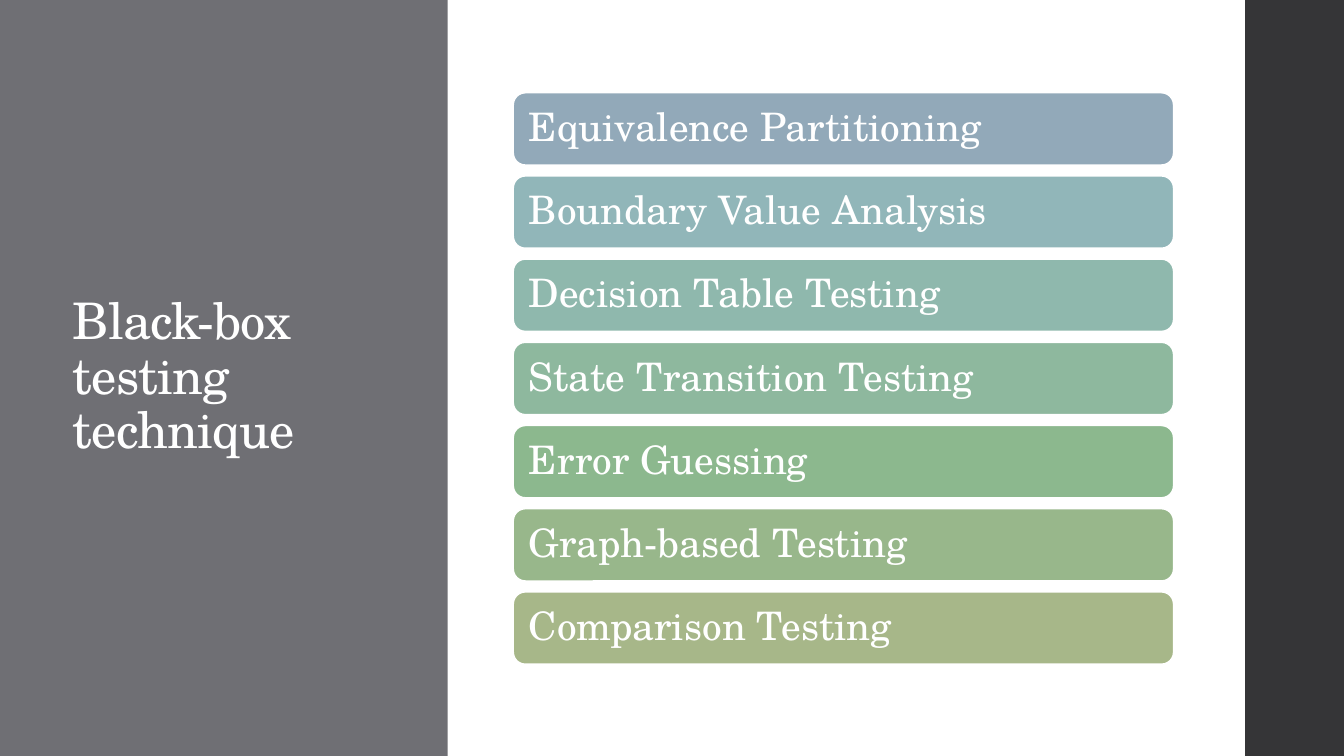
from dataclasses import dataclass

from pptx import Presentation
from pptx.dml.color import RGBColor
from pptx.enum.shapes import MSO_SHAPE as Shape
from pptx.enum.text import MSO_ANCHOR as Anchor, PP_ALIGN as Align
from pptx.util import Inches, Pt


@dataclass(frozen=True)
class Theme:
    font: str = "TeX Gyre Schola"
    white: str = "FFFFFF"
    title_panel: str = "6F6F74"
    edge_panel: str = "353537"
    title_size: float = 36
    item_size: float = 28
    outline: float = 1.1
    line_spacing: float = 0.9
    tracking: int = -50
    item_inset: float = 0.12


THEME = Theme()
WIDTH, HEIGHT = 13.33, 7.5
TITLE_PANEL = (0, 0, 4.44, HEIGHT)
EDGE_PANEL = (12.35, 0, WIDTH - 12.35, HEIGHT)
LIST_BOX = (5.09, 0.92, 6.55, 5.67)
GAP_SHARE = 0.13

TECHNIQUES = [
    ("Equivalence Partitioning", "92A9B9"),
    ("Boundary Value Analysis", "91B6B9"),
    ("Decision Table Testing", "8FB8AD"),
    ("State Transition Testing", "8EB89E"),
    ("Error Guessing", "8CB88E"),
    ("Graph-based Testing", "98B78B"),
    ("Comparison Testing", "A7B789"),
]


def add_block(slide, kind, box, fill, line=None):
    sp = slide.shapes.add_shape(kind, *map(Inches, box))
    sp.shadow.inherit = False
    sp.fill.solid()
    sp.fill.fore_color.rgb = RGBColor.from_string(fill)
    if line:
        sp.line.color.rgb = RGBColor.from_string(line)
        sp.line.width = Pt(THEME.outline)
    else:
        sp.line.fill.background()
    return sp


def write(sp, text, size, inset_x, inset_y):
    tf = sp.text_frame
    tf.word_wrap = True
    tf.vertical_anchor = Anchor.MIDDLE
    tf.margin_left = tf.margin_right = Inches(inset_x)
    tf.margin_top = tf.margin_bottom = Inches(inset_y)
    p = tf.paragraphs[0]
    p.alignment = Align.LEFT
    p.line_spacing = THEME.line_spacing
    r = p.add_run()
    r.text = text
    r.font.name = THEME.font
    r.font.size = Pt(size)
    r.font.color.rgb = RGBColor.from_string(THEME.white)
    return r


def add_title_panel(slide, box, text):
    left, top, width, height = box
    add_block(slide, Shape.RECTANGLE, box, THEME.title_panel)
    title_box = (left + 0.14 * width, top + 0.12 * height, 0.67 * width, 0.76 * height)
    tb = slide.shapes.add_textbox(*map(Inches, title_box))
    r = write(tb, text, THEME.title_size, 0.1, 0.05)
    r.font._element.set("spc", str(THEME.tracking))


def add_technique_list(slide, box, techniques):
    left, top, width, height = box
    pitch = height / (len(techniques) - GAP_SHARE)
    bar_height = pitch * (1 - GAP_SHARE)
    for row, (text, fill) in enumerate(techniques):
        bar = (left, top + row * pitch, width, bar_height)
        sp = add_block(slide, Shape.ROUNDED_RECTANGLE, bar, fill, THEME.white)
        write(sp, text, THEME.item_size, THEME.item_inset, THEME.item_inset)


def main():
    prs = Presentation()
    prs.slide_width, prs.slide_height = Inches(WIDTH), Inches(HEIGHT)
    slide = prs.slides.add_slide(prs.slide_layouts[6])
    add_title_panel(slide, TITLE_PANEL, "Black-box testing technique")
    add_block(slide, Shape.RECTANGLE, EDGE_PANEL, THEME.edge_panel)
    add_technique_list(slide, LIST_BOX, TECHNIQUES)
    prs.save("out.pptx")


if __name__ == "__main__":
    main()
